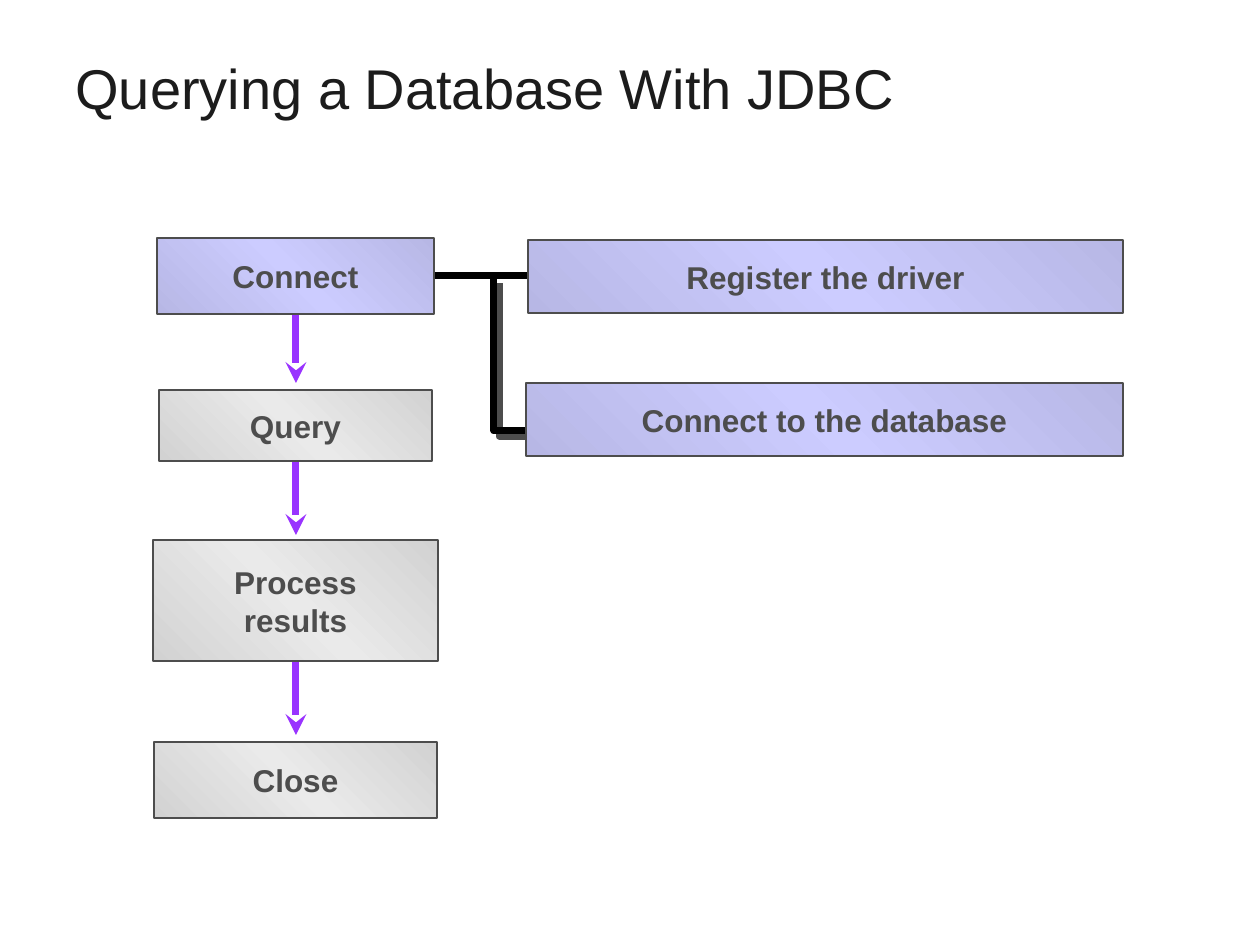
from copy import deepcopy

from lxml.etree import SubElement
from pptx import Presentation
from pptx.dml.color import RGBColor
from pptx.enum.shapes import MSO_CONNECTOR as Connector, MSO_SHAPE as Shape
from pptx.enum.text import MSO_ANCHOR as Anchor, PP_ALIGN as Align
from pptx.oxml.ns import qn
from pptx.util import Emu, Pt

# Content: label, box (left, top, width, height in px), palette
TITLE = "Querying a Database With JDBC"
TITLE_BOX = (63, 38, 1134, 98)
BOXES = [
    ("Connect", (157, 238, 277, 76), "blue"),
    ("Query", (159, 390, 273, 71), "gray"),
    ("Process\nresults", (153, 540, 285, 121), "gray"),
    ("Close", (154, 742, 283, 76), "gray"),
    ("Register the driver", (528, 240, 595, 73), "blue"),
    ("Connect to the database", (526, 383, 597, 73), "blue"),
]
ARROW_X, ARROW_LENGTH = 296, 73
ARROW_TOPS = [310, 462, 662]
LINK = [(416, 276), (537, 276)]
ELBOW = [(494, 278), (494, 431), (567, 431)]

COLORS = {"title": "1C1C1C", "text": "4D4D4D", "arrow": "9933FF", "link": "000000"}
GRADIENTS = {"blue": ("B7B7E5", "CCCCFF"), "gray": ("D2D2D2", "EAEAEA")}
FONT = "Arial"
SCALE = 914400 / 126


def px(value):
    return Emu(round(value * SCALE))


def rgb(name):
    return RGBColor.from_string(COLORS[name])


def style_line(shape, color, width):
    shape.line.color.rgb = rgb(color)
    shape.line.width = Pt(width)


def write(paragraph, text, size, color, bold=False):
    for index, part in enumerate(text.split("\n")):
        if index:
            paragraph.add_line_break()
        run = paragraph.add_run()
        run.text = part
        run.font.name, run.font.size, run.font.bold = FONT, Pt(size), bold
        run.font.color.rgb = rgb(color)


def add_line(start, end, color, arrow=False):
    line = slide.shapes.add_connector(
        Connector.STRAIGHT, *(px(value) for value in (*start, *end)))
    style_line(line, color, 4)
    if arrow:
        SubElement(line.line._get_or_add_ln(), qn("a:tailEnd"), type="stealth")
    SubElement(line._element.spPr, qn("a:effectLst"))


def fill_gradient(shape, edge, middle):
    shape.fill.gradient()
    shape.fill.gradient_angle = 45
    stop_list = shape.fill._fill._gradFill.find(qn("a:gsLst"))
    stop_list.insert(1, deepcopy(stop_list[0]))
    for stop, position, color in zip(
            shape.fill.gradient_stops, (0, 0.5, 1), (edge, middle, edge)):
        stop.position = position
        stop.color.rgb = RGBColor.from_string(color)


def add_box(label, box, palette):
    shape = slide.shapes.add_shape(Shape.RECTANGLE, *map(px, box))
    shape.shadow.inherit = False
    fill_gradient(shape, *GRADIENTS[palette])
    style_line(shape, "text", 1)
    frame = shape.text_frame
    frame.word_wrap = False
    frame.vertical_anchor = Anchor.MIDDLE
    paragraph = frame.paragraphs[0]
    paragraph.alignment = Align.CENTER
    paragraph.space_before = Pt(11.2)
    write(paragraph, label, 18, "text", bold=True)


def add_elbow(points):
    builder = slide.shapes.build_freeform(*points[0], scale=SCALE)
    builder.add_line_segments(points[1:], close=False)
    elbow = builder.convert_to_shape()
    elbow.fill.background()
    style_line(elbow, "link", 4)
    SubElement(elbow.line._get_or_add_ln(), qn("a:round"))
    # Hard shadow, down and to the right
    effects = SubElement(elbow._element.spPr, qn("a:effectLst"))
    shadow = SubElement(effects, qn("a:outerShdw"), blurRad="0",
                        dist=str(Pt(4.2)), dir="2700000", algn="ctr", rotWithShape="0")
    SubElement(shadow, qn("a:srgbClr"), val=COLORS["text"])


presentation = Presentation()
presentation.slide_width, presentation.slide_height = px(1260), px(945)
slide = presentation.slides.add_slide(presentation.slide_layouts[6])

# Title
title = slide.shapes.add_textbox(*map(px, TITLE_BOX)).text_frame
title.word_wrap = True
title.vertical_anchor = Anchor.MIDDLE
write(title.paragraphs[0], TITLE, 32, "title")

# Lines lie behind the boxes
for top in ARROW_TOPS:
    add_line((ARROW_X, top), (ARROW_X, top + ARROW_LENGTH), "arrow", arrow=True)
add_line(*LINK, "link")
add_elbow(ELBOW)

# Steps and their details
for entry in BOXES:
    add_box(*entry)

presentation.save("out.pptx")
